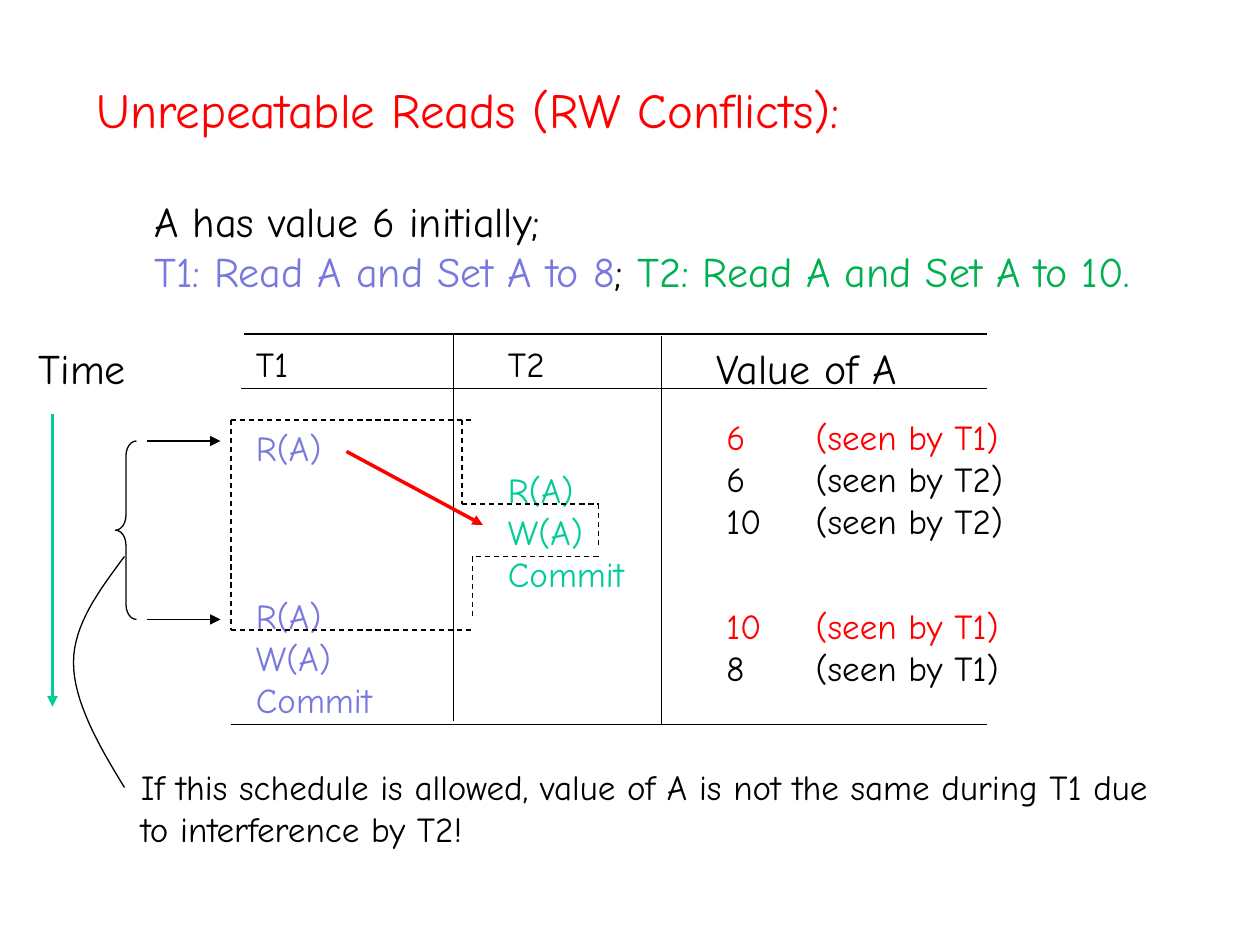
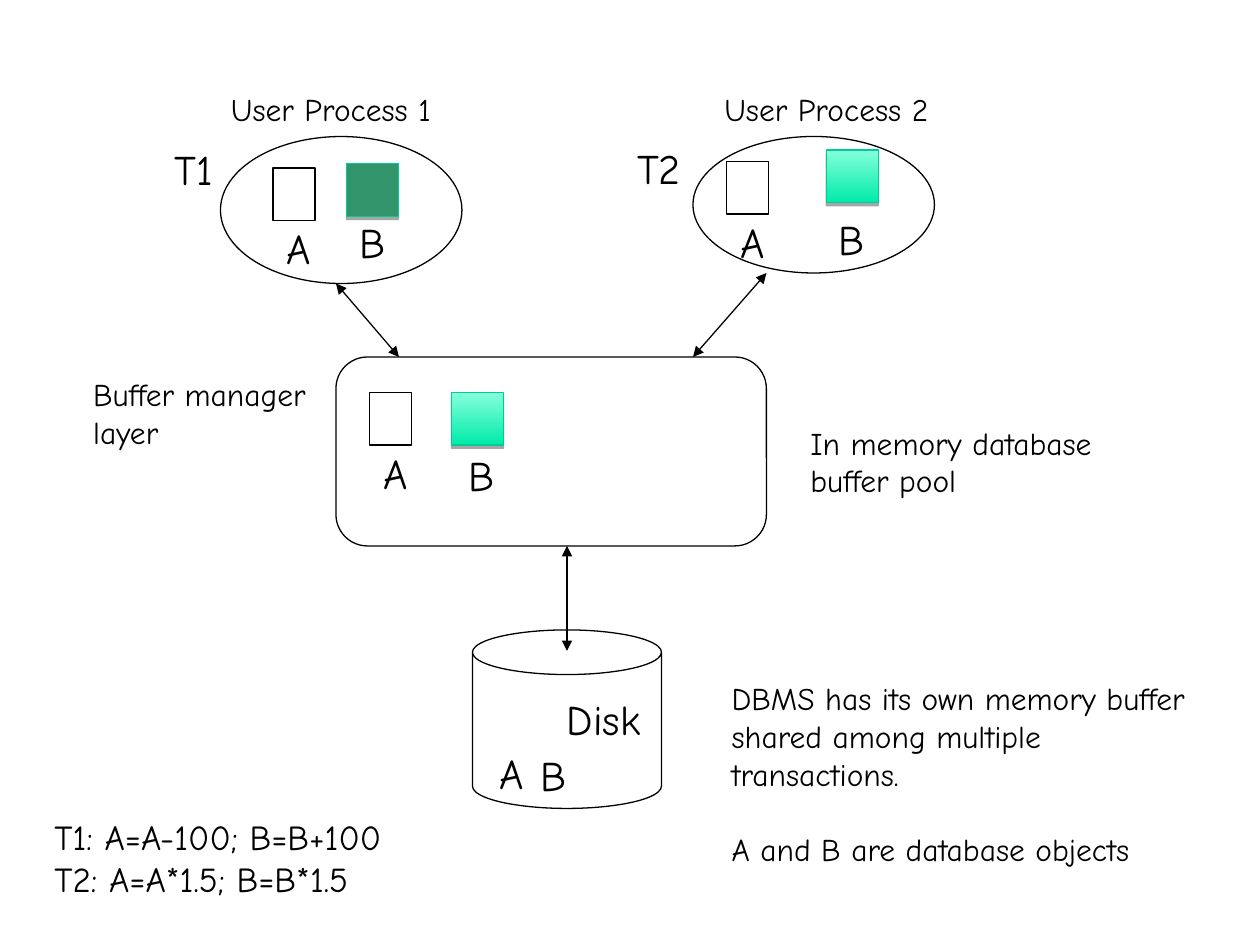
from dataclasses import dataclass
from typing import Any, NamedTuple

from lxml import etree
from pptx import Presentation, util as u
from pptx.dml.color import RGBColor
from pptx.enum import dml, shapes, text
from pptx.oxml import ns

COLORS = {
    "ink": "000000",
    "alert": "FF0000",
    "t1": "7878DE",
    "t2": "00CC99",
    "t2_plan": "00B050",
    "changed": "32946A",
    "block_edge": "00CC98",
    "block_low": "00EBA8",
    "block_high": "85FFDB",
}
FONT = "Comic Neue"
COLUMNS, ROWS = 120, 90
SLIDE_WIDTH, SLIDE_HEIGHT = u.Inches(10), u.Inches(7.5)


class Box(NamedTuple):
    left: float
    top: float
    width: float
    height: float


class Span(NamedTuple):
    words: str
    color: str = "ink"


@dataclass(frozen=True)
class Line:
    spans: tuple[Span, ...]
    before: float = 0
    tab: float = 0


@dataclass(frozen=True)
class Caption:
    box: Box
    lines: tuple[Line, ...]
    size: int
    wrap: bool = False


@dataclass(frozen=True)
class Stroke:
    x1: float
    y1: float
    x2: float
    y2: float
    color: str = "ink"
    width: float = 0.75
    ends: tuple[str, ...] = ()
    dashed: bool = False


@dataclass(frozen=True)
class DataObject:
    left: float
    top: float
    letter: str
    letter_left: float
    letter_top: float
    fill: str = ""


def col(count: float) -> int:
    return round(SLIDE_WIDTH * count / COLUMNS)


def row(count: float) -> int:
    return round(SLIDE_HEIGHT * count / ROWS)


def place(box: Box) -> tuple[int, int, int, int]:
    return col(box.left), row(box.top), col(box.width), row(box.height)


def rgb(name: str) -> RGBColor:
    return RGBColor.from_string(COLORS[name])


def set_all(target: Any, values: dict[str, Any]) -> None:
    for name, value in values.items():
        setattr(target, name, value)


def plain(words: str, color: str = "ink", before: float = 0, tab: float = 0) -> Line:
    return Line((Span(words, color),), before, tab)


def add_caption(slide: Any, caption: Caption) -> None:
    frame = slide.shapes.add_textbox(*place(caption.box)).text_frame
    set_all(frame, {"word_wrap": caption.wrap,
                    "auto_size": text.MSO_AUTO_SIZE.SHAPE_TO_FIT_TEXT})
    for index, line in enumerate(caption.lines):
        paragraph = frame.add_paragraph() if index else frame.paragraphs[0]
        if line.before:
            paragraph.space_before = u.Pt(line.before)
        if line.tab:
            stops = etree.SubElement(paragraph._p.get_or_add_pPr(), ns.qn("a:tabLst"))
            etree.SubElement(stops, ns.qn("a:tab"), pos=str(col(line.tab)), algn="l")
        for span in line.spans:
            run = paragraph.add_run()
            run.text = span.words
            set_all(run.font, {"name": FONT, "size": u.Pt(caption.size)})
            run.font.color.rgb = rgb(span.color)


def add_stroke(slide: Any, stroke: Stroke) -> None:
    link = slide.shapes.add_connector(
        shapes.MSO_CONNECTOR.STRAIGHT,
        col(stroke.x1), row(stroke.y1), col(stroke.x2), row(stroke.y2))
    link.line.color.rgb = rgb(stroke.color)
    link.line.width = u.Pt(stroke.width)
    if stroke.dashed:
        link.line.dash_style = dml.MSO_LINE.DASH
    for end in stroke.ends:
        etree.SubElement(link.line._get_or_add_ln(), ns.qn(f"a:{end}"), type="triangle")
    etree.SubElement(link._element.spPr, ns.qn("a:effectLst"))


def outline(figure: Any, color: str = "ink") -> Any:
    figure.shadow.inherit = False
    figure.fill.background()
    figure.line.color.rgb = rgb(color)
    figure.line.width = u.Pt(0.75)
    return figure


def add_outline(slide: Any, kind: Any, box: Box, color: str = "ink") -> Any:
    return outline(slide.shapes.add_shape(kind, *place(box)), color)


def add_data_object(slide: Any, item: DataObject) -> None:
    width, edge = (4.95, "block_edge") if item.fill else (4, "ink")
    block = add_outline(slide, shapes.MSO_SHAPE.RECTANGLE,
                        Box(item.left, item.top, width, 5), edge)
    if item.fill == "gradient":
        block.fill.gradient()
        block.fill.gradient_angle = 90
        for stop, position, shade in zip(block.fill.gradient_stops, (0, 1),
                                         ("block_low", "block_high")):
            stop.position = position
            stop.color.rgb = rgb(shade)
    elif item.fill:
        block.fill.solid()
        block.fill.fore_color.rgb = rgb(item.fill)
    if item.fill:
        effects = block._element.spPr.find(ns.qn("a:effectLst"))
        shadow = etree.SubElement(effects, ns.qn("a:outerShdw"), blurRad="0",
                                  dist=str(u.Pt(1.8)), dir="5400000", rotWithShape="0")
        shade = etree.SubElement(shadow, ns.qn("a:srgbClr"), val=COLORS["ink"])
        etree.SubElement(shade, ns.qn("a:alpha"), val="35000")
    add_letter(slide, item.letter, item.letter_left, item.letter_top)


def add_letter(slide: Any, letter: str, left: float, top: float) -> None:
    add_caption(slide, Caption(Box(left, top, 4.7, 6), (plain(letter),), 24))


def add_curve(slide: Any, start: tuple[float, float], pieces: list, steps: int = 16) -> None:
    points, origin = [], start
    for piece in pieces:
        knots = (origin, *piece)
        for step in range(1, steps + 1):
            t = step / steps
            weights = ((1 - t) ** 3, 3 * t * (1 - t) ** 2, 3 * t * t * (1 - t), t ** 3)
            x, y = (sum(w * k[axis] for w, k in zip(weights, knots)) for axis in (0, 1))
            points.append((col(x), row(y)))
        origin = piece[-1]
    builder = slide.shapes.build_freeform(col(start[0]), row(start[1]))
    builder.add_line_segments(points, close=False)
    outline(builder.convert_to_shape())


def build_unrepeatable_reads(slide: Any) -> None:
    t2_tab, seen_tab = 24, 8.5
    t1_steps = [plain(step, "t1") for step in ("R(A)", "W(A)", "Commit")]
    t2_steps = [plain(f"\t{step}", "t2", tab=t2_tab) for step in ("R(A)", "W(A)", "Commit")]
    schedule = (plain("T1\tT2", tab=t2_tab), plain("R(A)", "t1", before=24),
                *t2_steps, *t1_steps)
    plan = Line((Span("T1: Read A and Set A to 8", "t1"), Span("; "),
                 Span("T2: Read A and Set A to 10.", "t2_plan")))
    before_commit = (plain("6\t(seen by T1)", "alert", tab=seen_tab),
                     plain("6\t(seen by T2)", tab=seen_tab),
                     plain("10\t(seen by T2)", tab=seen_tab))
    after_commit = (plain("10\t(seen by T1)", "alert", tab=seen_tab),
                    plain("8\t(seen by T1)", tab=seen_tab))
    consequence = ("If this schedule is allowed, value of A is not the same "
                   "during T1 due to interference by T2!")
    for caption in (
        Caption(Box(8, 7, 106, 6.8),
                (plain("Unrepeatable Reads (RW Conflicts):", "alert", before=7),), 28, True),
        Caption(Box(23.2, 32, 39.8, 37.2), schedule, 20, True),
        Caption(Box(13.5, 18, 95.6, 10.8), (plain("A has value 6 initially;"), plan), 24),
        Caption(Box(12.25, 72.35, 101.5, 9.2), (plain(consequence),), 20, True),
        Caption(Box(67.1, 32, 19.7, 6), (plain("Value of A"),), 24),
        Caption(Box(68, 39, 37.2, 13.2), before_commit, 20, True),
        Caption(Box(68, 57, 33, 9.2), after_commit, 20, True),
        Caption(Box(2.5, 32, 10.7, 6), (plain("Time"),), 24),
    ):
        add_caption(slide, caption)

    table_rules = [(43.2, 31.8, 43.2, 68.7), (63, 32, 63, 69),
                   (23.2, 31.8, 94, 31.8), (23, 37, 94, 37), (22, 69, 94, 69)]
    conflict_zone = [(22, 40, 22, 60), (22, 40, 45, 40), (22, 60, 45, 60),
                     (44, 40, 44, 48), (44, 48, 57, 48), (57, 48, 57, 52),
                     (57, 53, 45, 53), (45, 53, 45, 59)]
    arrow = ("tailEnd",)
    for stroke in (
        *(Stroke(*rule) for rule in table_rules),
        *(Stroke(*side, dashed=True) for side in conflict_zone),
        *(Stroke(14, y, 21, y, ends=arrow) for y in (42, 59)),
        Stroke(33, 43, 46, 50, "alert", 2, arrow),
        Stroke(5, 39.4, 5, 67.3, "t2", 2, arrow),
    ):
        add_stroke(slide, stroke)

    read_span = add_outline(slide, shapes.MSO_SHAPE.LEFT_BRACE, Box(11, 42, 2, 17))
    read_span.adjustments[0] = 0.71
    add_curve(slide, (11.85, 53), [((9.4, 56.3), (7, 59.5), (7, 63.1)),
                                   ((7, 66.8), (9.4, 71), (11.85, 75))])


def build_buffer_pool(slide: Any) -> None:
    preset = shapes.MSO_SHAPE
    for kind, box in (
        (preset.ROUNDED_RECTANGLE, Box(32, 34, 41, 18)),
        (preset.OVAL, Box(21, 13, 23, 14)),
        (preset.OVAL, Box(66, 13, 23, 13)),
        (preset.CAN, Box(45, 60, 18, 17)),
    ):
        add_outline(slide, kind, box)

    page_copies = [(26, 16), (69.2, 15.4), (35.2, 37.4)]
    for item in (
        *(DataObject(x, y, "A", x + 0.1, y + 4.6) for x, y in page_copies),
        DataObject(43, 37.4, "B", 43.4, 42.2, "gradient"),
        DataObject(78.7, 14.3, "B", 78.7, 19.7, "gradient"),
        DataObject(33, 15.6, "B", 33.1, 20, "changed"),
    ):
        add_data_object(slide, item)
    add_letter(slide, "A", 46.4, 70.6)
    add_letter(slide, "B", 50.3, 70.8)

    for transfer in ((54, 52, 54, 62), (32, 27, 38, 34), (66, 34, 73, 26)):
        add_stroke(slide, Stroke(*transfer, ends=("headEnd", "tailEnd")))

    memory_note = "DBMS has its own memory buffer shared among multiple transactions."
    for caption in (
        Caption(Box(76, 39.75, 32, 8.4), (plain("In memory database buffer pool"),), 18, True),
        Caption(Box(7.7, 35.15, 24, 8.4), (plain("Buffer manager layer"),), 18, True),
        Caption(Box(20.8, 8, 21.5, 4.8), (plain("User Process 1"),), 18),
        Caption(Box(67.8, 8, 21.8, 4.8), (plain("User Process 2"),), 18),
        Caption(Box(15.45, 13.05, 7, 6), (plain("T1"),), 24, True),
        Caption(Box(59.5, 13, 7, 6), (plain("T2"),), 24, True),
        Caption(Box(52.8, 65.5, 9.4, 6), (plain("Disk"),), 24),
        Caption(Box(68.5, 64.1, 48.7, 19.2),
                (plain(memory_note), plain("A and B are database objects", before=21.6)),
                18, True),
        Caption(Box(4, 77.05, 33.6, 9.2),
                (plain("T1: A=A-100; B=B+100"), plain("T2: A=A*1.5; B=B*1.5")), 20),
    ):
        add_caption(slide, caption)


def main() -> None:
    deck = Presentation()
    set_all(deck, {"slide_width": SLIDE_WIDTH, "slide_height": SLIDE_HEIGHT})
    for build in (build_unrepeatable_reads, build_buffer_pool):
        build(deck.slides.add_slide(deck.slide_layouts[6]))
    deck.save("out.pptx")


if __name__ == "__main__":
    main()
